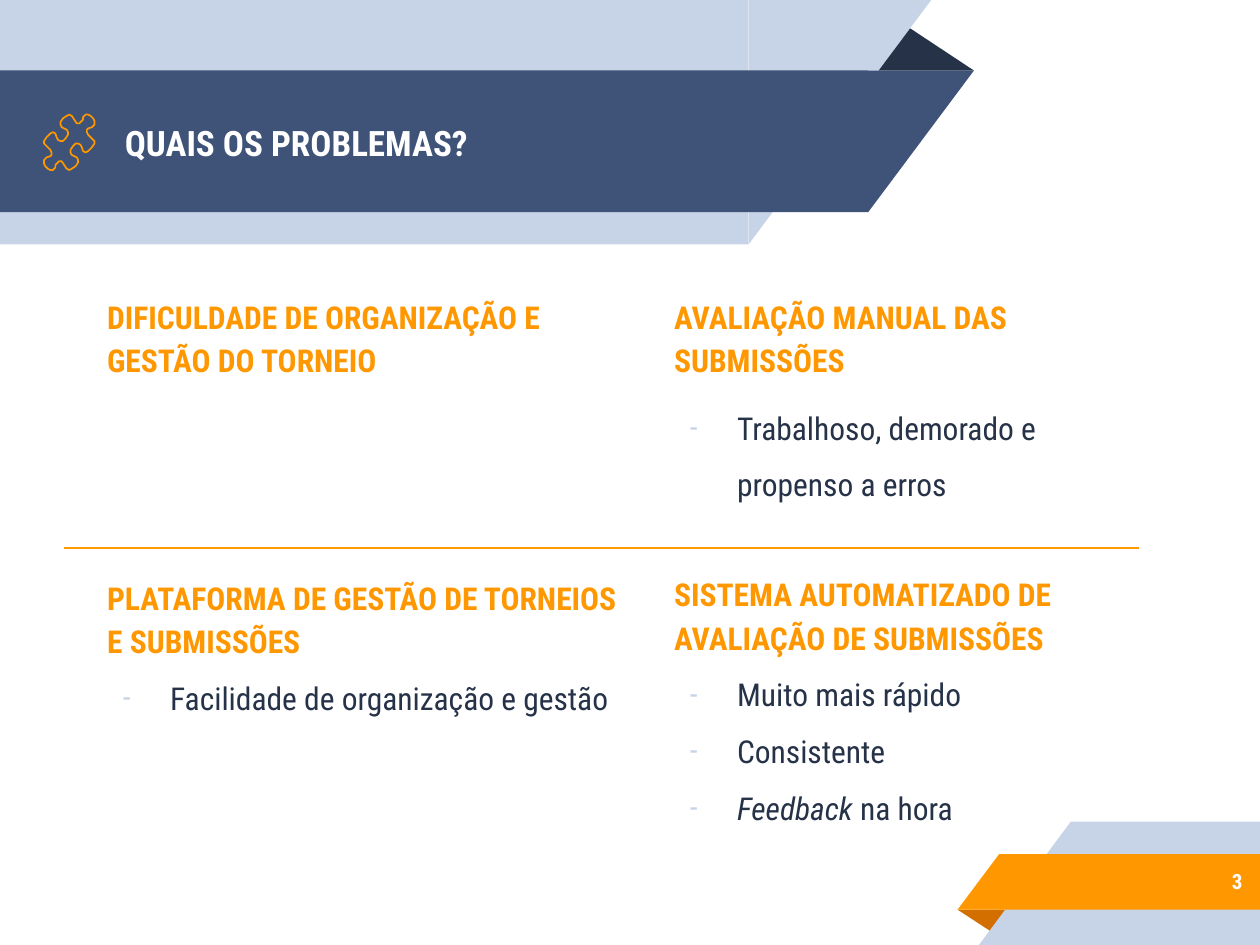
import pptx
import pptx.dml.color
import pptx.enum.shapes
import pptx.enum.text
import pptx.oxml
import pptx.oxml.ns
import pptx.util
from lxml import etree

Pt = pptx.util.Pt
SHAPE = pptx.enum.shapes.MSO_SHAPE
ALIGN = pptx.enum.text.PP_ALIGN
ANCHOR = pptx.enum.text.MSO_ANCHOR
FONT = "Roboto Condensed"
COLORS = {
    "white": "FFFFFF", "pale": "C7D3E6", "blue": "3F5378", "navy": "263248",
    "orange": "FF9800", "rust": "D26F00", "rule": "FF9900",
}

# Content: left, top, width, height, heading, space before items, items
TITLE = "QUAIS OS PROBLEMAS?"
PAGE_NUMBER = "3"
LEFT, RIGHT = 54, 378
BLOCKS = [
    (LEFT, 159.84, 288, 184.32, "DIFICULDADE DE ORGANIZAÇÃO E GESTÃO DO TORNEIO", 0, []),
    (RIGHT, 159.84, 242.64, 184.32, "AVALIAÇÃO MANUAL DAS SUBMISSÕES", 6,
     [[("Trabalhoso, demorado e propenso a erros", False)]]),
    (LEFT, 320.4, 307.44, 120.96, "PLATAFORMA DE GESTÃO DE TORNEIOS E SUBMISSÕES", 0,
     [[("Facilidade de organização e gestão", False)]]),
    (RIGHT, 318.24, 242.64, 184.32, "SISTEMA AUTOMATIZADO DE AVALIAÇÃO DE SUBMISSÕES", 0,
     [[("Muito mais rápido", False)], [("Consistente", False)],
      [("Feedback", True), (" na hora", False)]]),
]

# Ribbons: preset, left, top, width, height, colour, rotation, flipped
RIBBONS = [
    (SHAPE.ISOSCELES_TRIANGLE, 495.36, 12.96, 61.2, 27.36, "navy", 0, False),
    (SHAPE.RECTANGLE, 0, 0, 427.68, 139.68, "pale", 0, False),
    (SHAPE.RIGHT_TRIANGLE, 427.68, 0, 104.4, 139.68, "pale", 180, True),
    (SHAPE.RECTANGLE, 0, 40.32, 496.08, 81.0, "blue", 0, False),
    (SHAPE.RIGHT_TRIANGLE, 496.08, 40.32, 60.48, 81.0, "blue", 180, True),
    (SHAPE.ISOSCELES_TRIANGLE, 547.2, 519.84, 30.96, 13.68, "rust", 180, False),
    (SHAPE.RECTANGLE, 612, 469.44, 108, 70.56, "pale", 0, False),
    (SHAPE.RIGHT_TRIANGLE, 559.44, 469.44, 52.56, 70.56, "pale", 0, True),
    (SHAPE.RECTANGLE, 570.96, 488.16, 149.04, 31.68, "orange", 0, False),
    (SHAPE.RIGHT_TRIANGLE, 547.2, 488.16, 23.76, 31.68, "orange", 0, True),
]
TRIANGLE_APEX = 0.324

# Half of the puzzle outline around its centre; the other half is its half turn
PUZZLE_CENTER, PUZZLE_UNIT = (55, 113), 0.72
PUZZLE_HALF = [
    (15, -11), (18, -12), (20, -14), (20, -17), (19, -19), (17, -21), (15, -22),
    (13, -22), (11, -20), (11, -18), (9, -16), (8, -15), (6, -15), (4, -18),
    (2, -21), (0, -22), (-2, -21), (-5, -19), (-7, -16), (-7, -14), (-6, -12),
    (-4, -11), (-2, -10), (-1, -8), (-1, -6), (-3, -3), (-5, -1), (-7, -1),
    (-9, -2), (-10, -4), (-11, -7), (-13, -8), (-15, -7), (-18, -4), (-20, -1),
    (-20, 1), (-18, 3), (-15, 6), (-14, 8), (-14, 10),
]


def rgb(name):
    return pptx.dml.color.RGBColor.from_string(COLORS[name])


def write(para, text, size=18, color="navy", bold=False, italic=False,
          align=ALIGN.LEFT, line=1.0, before=0):
    para.alignment, para.line_spacing, para.space_before = align, line, Pt(before)
    span = para.add_run()
    span.text = text
    font = span.font
    font.name, font.size, font.bold, font.italic = FONT, Pt(size), bold, italic
    font.color.rgb = rgb(color)


def prepare(box, left, top, width, height, anchor):
    box.left, box.top, box.width, box.height = map(Pt, (left, top, width, height))
    frame = box.text_frame
    frame.word_wrap = True
    frame.auto_size = pptx.enum.text.MSO_AUTO_SIZE.NONE
    frame.vertical_anchor = anchor
    frame.margin_left = frame.margin_right = Pt(7.2)
    frame.margin_top = frame.margin_bottom = Pt(7.2)
    return frame


def set_bullet(para, char=None):
    props = para._p.get_or_add_pPr()
    props.set("marL", str(Pt(36 if char else 0)))
    props.set("indent", str(Pt(-27 if char else 0)))
    qn = pptx.oxml.ns.qn
    if char:
        color = etree.SubElement(props, qn("a:buClr"))
        etree.SubElement(color, qn("a:srgbClr"), val=COLORS["pale"])
        etree.SubElement(props, qn("a:buFont"), typeface=FONT)
        etree.SubElement(props, qn("a:buChar"), char=char)
    else:
        etree.SubElement(props, qn("a:buNone"))


def main():
    deck = pptx.Presentation()
    deck.slide_width, deck.slide_height = Pt(720), Pt(540)
    page = deck.slides.add_slide(deck.slide_layouts.get_by_name("Comparison"))
    title, *bodies = page.placeholders

    # Ribbons, behind the text
    for preset, left, top, width, height, color, turn, flipped in RIBBONS:
        ribbon = page.shapes.add_shape(preset, *map(Pt, (left, top, width, height)))
        ribbon.shadow.inherit = False
        ribbon.fill.solid()
        ribbon.fill.fore_color.rgb = rgb(color)
        ribbon.line.fill.background()
        ribbon.rotation = turn
        if preset == SHAPE.ISOSCELES_TRIANGLE:
            ribbon.adjustments[0] = TRIANGLE_APEX
        if flipped:
            ribbon.element.spPr.xfrm.set("flipH", "1")
        title.element.addprevious(ribbon.element)

    # Title and page number
    frame = prepare(title, 64.08, 41.04, 414, 80.64, ANCHOR.MIDDLE)
    write(frame.paragraphs[0], TITLE, size=20, color="white", bold=True)
    number = page.shapes.add_textbox(0, 0, 0, 0)
    frame = prepare(number, 599.76, 486.72, 117.36, 33.12, ANCHOR.MIDDLE)
    write(frame.paragraphs[0], PAGE_NUMBER, size=12, color="white", bold=True,
          align=ALIGN.RIGHT)

    # Four text blocks
    for body, (left, top, width, height, heading, before, items) in zip(bodies, BLOCKS):
        frame = prepare(body, left, top, width, height, ANCHOR.TOP)
        para = frame.paragraphs[0]
        write(para, heading, color="orange", bold=True, line=1.15, before=6)
        set_bullet(para)
        for item in items:
            para = frame.add_paragraph()
            for text, italic in item:
                write(para, text, italic=italic, line=1.5, before=before)
            set_bullet(para, "-")

    # Puzzle icon
    outline = PUZZLE_HALF + [(-x, -y) for x, y in PUZZLE_HALF]
    points = [(PUZZLE_CENTER[0] + x, PUZZLE_CENTER[1] + y) for x, y in outline]
    builder = page.shapes.build_freeform(*points[0], scale=Pt(PUZZLE_UNIT))
    builder.add_line_segments(points[1:], close=True)
    puzzle = builder.convert_to_shape()
    puzzle.shadow.inherit = False
    puzzle.fill.background()
    puzzle.line.color.rgb = rgb("orange")
    puzzle.line.width = Pt(0.96)

    # Divider between the rows
    divider = page.shapes.add_connector(
        pptx.enum.shapes.MSO_CONNECTOR.STRAIGHT, Pt(36.72), Pt(313.2), Pt(650.88), Pt(313.2))
    divider.line.color.rgb = rgb("rule")
    divider.line.width = Pt(0.75)
    etree.SubElement(divider.element.spPr, pptx.oxml.ns.qn("a:effectLst"))

    deck.save("out.pptx")


if __name__ == "__main__":
    main()
